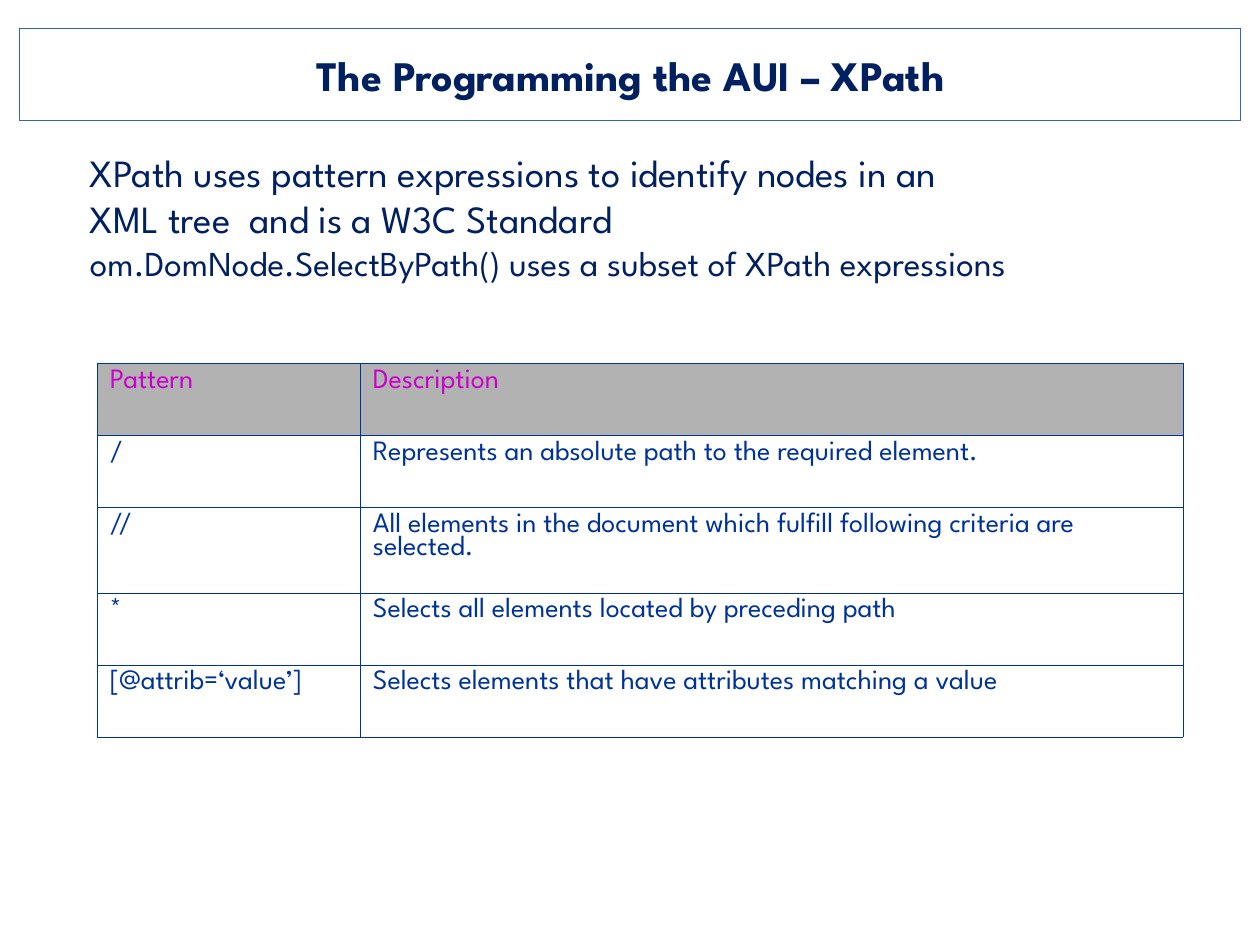
"""Build a slide that explains XPath patterns in a bordered table."""
from dataclasses import dataclass
from typing import Any

from lxml.etree import SubElement as Sub
from pptx import Presentation
from pptx.dml.color import RGBColor as Rgb
from pptx.enum.text import MSO_ANCHOR as Anchor, MSO_AUTO_SIZE as Fit, PP_ALIGN as Align
from pptx.oxml.ns import qn
from pptx.util import Pt

SCALE = 914400 / 126


@dataclass(frozen=True)
class Theme:
    font: str = "League Spartan"
    navy: str = "002060"
    blue: str = "003399"
    pink: str = "CC00CC"
    grey: str = "B2B2B2"
    frame: str = "3465A4"
    title: int = 24
    lead: int = 22
    note: int = 20
    cell: int = 16
    outer: float = 0.5
    inner: float = 0.23


@dataclass(frozen=True)
class Box:
    left: int
    top: int
    width: int
    height: int


@dataclass(frozen=True)
class Row:
    pattern: str
    about: str
    height: int = 72


THEME = Theme()
TITLE = Box(20, 30, 1221, 89)
BODY = Box(69, 139, 966, 357)
GRID = Box(97, 363, 1086, 374)
COLS = (263, 823)
LINES = (
    ("XPath uses pattern expressions to identify nodes in an XML tree  and is a W3C Standard", THEME.lead),
    ("om.DomNode.SelectByPath() uses a subset of XPath expressions", THEME.note),
)
ROWS = (
    Row("Pattern", "Description"),
    Row("/", "Represents an absolute path to the required element."),
    Row("//", "All elements in the document which fulfill following criteria are selected.", 86),
    Row("*", "Selects all elements located by preceding path"),
    Row("[@attrib=‘value’]", "Selects elements that have attributes matching a value"),
)


def px(count: int) -> int:
    """Turn pixels into EMU."""
    return round(count * SCALE)


def spot(box: Box) -> tuple[int, ...]:
    """Give the place of a box in EMU."""
    return px(box.left), px(box.top), px(box.width), px(box.height)


def apply(item: Any, values: dict[str, Any]) -> None:
    """Set each named value on an item."""
    for name, value in values.items():
        setattr(item, name, value)


def inset(item: Any, wide: int, high: int) -> None:
    """Set the side margins and the top and bottom margins."""
    apply(item, {"margin_left": px(wide), "margin_right": px(wide),
                 "margin_top": px(high), "margin_bottom": px(high)})


def write(para: Any, text: str, size: int, color: str, bold: bool = False) -> None:
    """Add one styled run to a paragraph."""
    run = para.add_run()
    run.text = text
    apply(run.font, {"name": THEME.font, "size": Pt(size), "bold": bold})
    run.font.color.rgb = Rgb.from_string(color)


def edge(cell: Any, side: str, width: float) -> None:
    """Draw one border of a cell."""
    line = Sub(cell._tc.get_or_add_tcPr(), qn(f"a:ln{side}"), w=str(Pt(width)))
    fill = Sub(line, qn("a:solidFill"))
    Sub(fill, qn("a:srgbClr"), val=THEME.blue)


def draw_title(slide: Any) -> None:
    """Frame and fill the title placeholder."""
    shape = slide.shapes.title
    apply(shape, dict(zip(("left", "top", "width", "height"), spot(TITLE))))
    shape.line.color.rgb = Rgb.from_string(THEME.frame)
    shape.line.width = Pt(0)
    frame = shape.text_frame
    apply(frame, {"vertical_anchor": Anchor.MIDDLE, "word_wrap": True,
                  "auto_size": Fit.SHAPE_TO_FIT_TEXT})
    inset(frame, 0, 0)
    para = frame.paragraphs[0]
    para.alignment = Align.CENTER
    write(para, "The Programming the AUI – XPath", THEME.title, THEME.navy, True)


def draw_body(slide: Any) -> None:
    """Write the lines above the table."""
    frame = slide.shapes.add_textbox(*spot(BODY)).text_frame
    frame.word_wrap = True
    inset(frame, 21, 10)
    for index, (text, size) in enumerate(LINES):
        para = frame.add_paragraph() if index else frame.paragraphs[0]
        write(para, text, size, THEME.navy)


def draw_cell(cell: Any, text: str, row: int, col: int) -> None:
    """Write, border and fill one table cell."""
    head = row == 0
    inset(cell, 13, 6)
    para = cell.text_frame.paragraphs[0]
    apply(para, {"line_spacing": 0.93,
                 "space_before": Pt(4.5 if head or col == 0 else 3.5)})
    write(para, text, THEME.cell, THEME.pink if head else THEME.blue)
    outer = {"L": col == 0, "R": col == len(COLS) - 1,
             "T": head, "B": row == len(ROWS) - 1}
    for side, rim in outer.items():
        edge(cell, side, THEME.outer if rim else THEME.inner)
    if head:
        cell.fill.solid()
        cell.fill.fore_color.rgb = Rgb.from_string(THEME.grey)
    else:
        cell.fill.background()


def draw_table(slide: Any) -> None:
    """Lay out the table of patterns."""
    table = slide.shapes.add_table(len(ROWS), len(COLS), *spot(GRID)).table
    apply(table, {"first_row": False, "horz_banding": False})
    for col, width in enumerate(COLS):
        table.columns[col].width = px(width)
    for index, row in enumerate(ROWS):
        table.rows[index].height = px(row.height)
        for col, text in enumerate((row.pattern, row.about)):
            draw_cell(table.cell(index, col), text, index, col)


def main() -> None:
    """Build and save the slide."""
    deck = Presentation()
    apply(deck, {"slide_width": px(1260), "slide_height": px(945)})
    slide = deck.slides.add_slide(deck.slide_layouts[5])
    draw_title(slide)
    draw_body(slide)
    draw_table(slide)
    deck.save("out.pptx")


if __name__ == "__main__":
    main()
